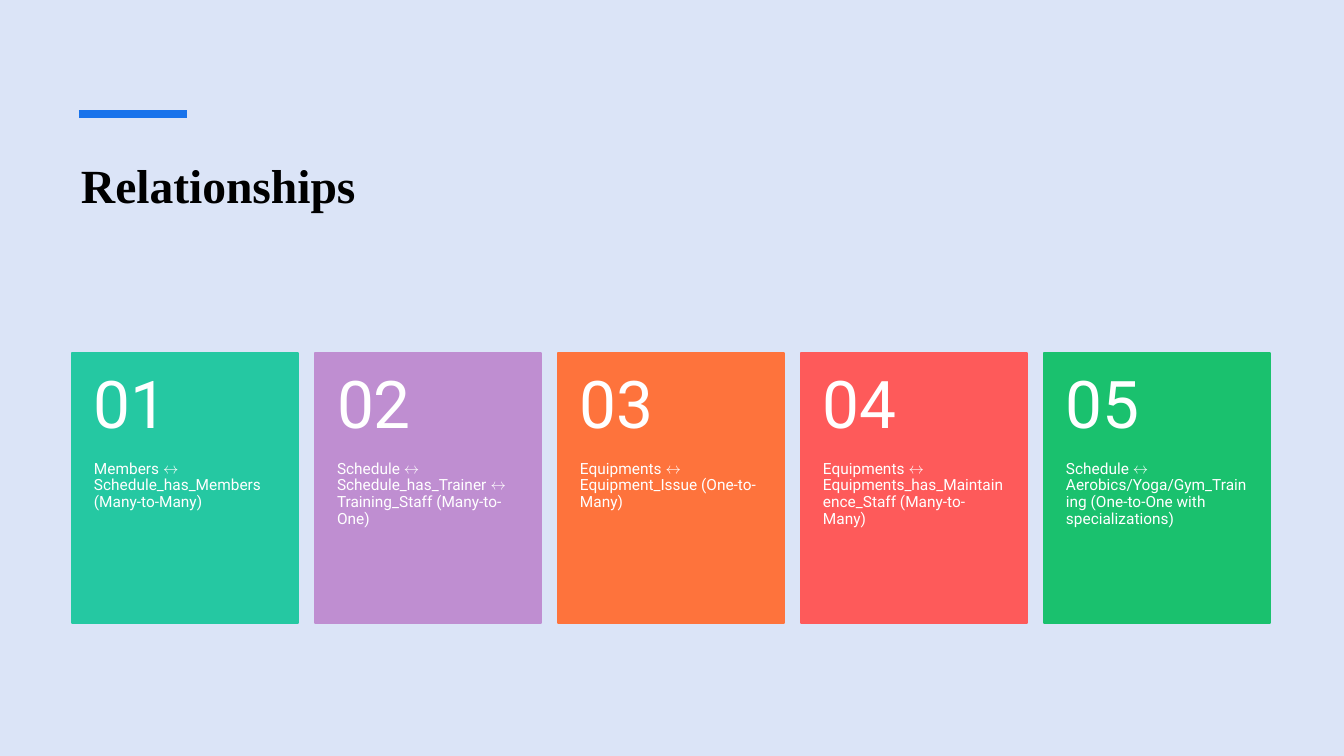
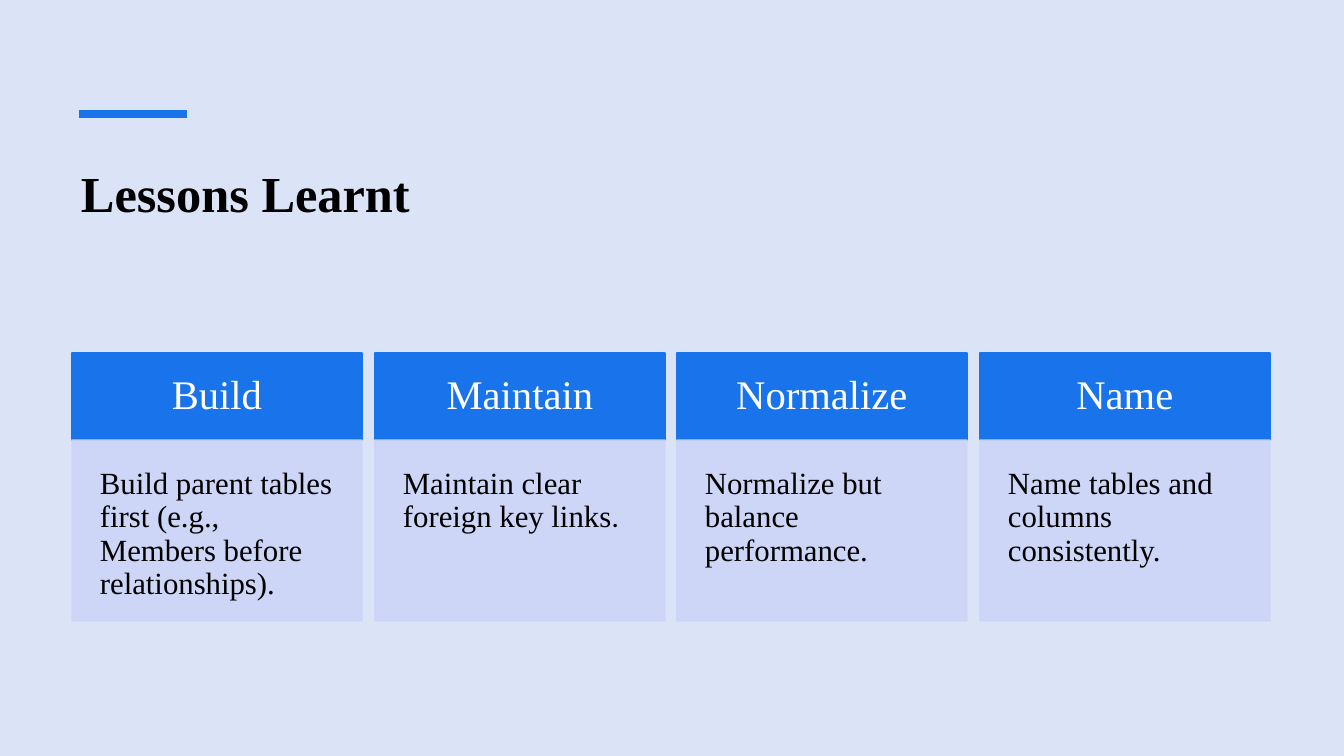
from lxml import etree
from pptx import Presentation
from pptx.dml.color import RGBColor
from pptx.enum.shapes import MSO_CONNECTOR, MSO_SHAPE
from pptx.enum.text import MSO_ANCHOR, PP_ALIGN
from pptx.oxml.ns import qn
from pptx.util import Emu, Pt

RECT, LINE = MSO_SHAPE.RECTANGLE, MSO_CONNECTOR.STRAIGHT
TOP, MID = MSO_ANCHOR.TOP, MSO_ANCHOR.MIDDLE
LEFT, MIDST = PP_ALIGN.LEFT, PP_ALIGN.CENTER
SERIF, SANS = "Times New Roman", "Roboto"
HUE = {
    "back": "DBE4F7", "blue": "1973EB", "pale": "CCD5F7",
    "black": "000000", "white": "FFFFFF",
    "teal": "25C8A2", "mauve": "BF8ED1", "orange": "FE733C",
    "red": "FE5A5A", "green": "1AC16E",
}
EDGE, SPAN, ROW = 72, 1198, 353
TILES = [
    ("teal", "Members ↔ Schedule_has_Members (Many-to-Many)"),
    ("mauve", "Schedule ↔ Schedule_has_Trainer ↔ Training_Staff (Many-to-One)"),
    ("orange", "Equipments ↔ Equipment_Issue (One-to-Many)"),
    ("red", "Equipments ↔ Equipments_has_Maintainence_Staff (Many-to-Many)"),
    ("green", "Schedule ↔ Aerobics/Yoga/Gym_Training (One-to-One with specializations)"),
]
LESSONS = [
    ("Build", "Build parent tables first (e.g., Members before relationships).", ""),
    ("Maintain", "Maintain clear foreign key links", "."),
    ("Normalize", "Normalize but balance performance.", ""),
    ("Name", "Name tables and columns consistently.", ""),
]


def px(*sizes):
    """Turn pixel lengths into EMU."""
    return [Emu(round(n * 914400 / 100.8)) for n in sizes]


def tint(name):
    """Look up a colour."""
    return RGBColor.from_string(HUE[name])


def spread(count, width):
    """Give the left edges of equal columns."""
    step = (SPAN - width) / (count - 1)
    return [round(EDGE + i * step) for i in range(count)]


class Deck:
    """Holds the style and the current slide."""

    def __init__(self):
        """Open an empty deck."""
        self.show = Presentation()
        self.show.slide_width, self.show.slide_height = px(1344, 756)
        self.slide = None

    def page(self, title, size, lead):
        """Start a slide with its title and accent line."""
        self.slide = self.show.slides.add_slide(self.show.slide_layouts[5])
        fill = self.slide.background.fill
        fill.solid()
        fill.fore_color.rgb = tint("back")
        head = self.slide.shapes.title
        head.left, head.top, head.width, head.height = px(71, 151, 1200, 121)
        self.words(head, title, size, SERIF, "black", (10, 11, 10, 5), lead=lead, bold=True)
        self.rule(79, 187, 114)

    def rule(self, start, end, y):
        """Draw a thick level line."""
        line = self.slide.shapes.add_connector(LINE, *px(start, y, end, y))
        line.line.color.rgb = tint("blue")
        line.line.width = Pt(6)
        etree.SubElement(line._element.spPr, qn("a:effectLst"))

    def block(self, area, hue, alpha=100):
        """Draw a filled rectangle."""
        shape = self.slide.shapes.add_shape(RECT, *px(*area))
        shape.shadow.inherit = False
        shape.fill.solid()
        shape.fill.fore_color.rgb = tint(hue)
        shape.line.color.rgb = tint(hue)
        shape.line.width = Pt(1)
        if alpha < 100:
            for paint in shape._element.spPr.iter(qn("a:srgbClr")):
                etree.SubElement(paint, qn("a:alpha"), val=str(alpha * 1000))
        return shape

    def label(self, area, *style, **more):
        """Add a text box."""
        self.words(self.slide.shapes.add_textbox(*px(*area)), *style, **more)

    def words(self, shape, text, size, font, hue, pads, anchor=TOP, align=LEFT,
              lead=0.9, bold=False, tail=""):
        """Fill a shape with one styled paragraph."""
        frame = shape.text_frame
        frame.text = text
        frame.word_wrap = True
        frame.vertical_anchor = anchor
        (frame.margin_left, frame.margin_top,
         frame.margin_right, frame.margin_bottom) = px(*pads)
        para = frame.paragraphs[0]
        para.alignment = align
        para.line_spacing = lead
        if tail:
            para.add_run().text = tail
        for run in para.runs:
            run.font.size = Pt(size)
            run.font.name = font
            run.font.bold = bold
            run.font.color.rgb = tint(hue)
        if tail:
            para.runs[-1].font.name = SANS

    def tile(self, x, width, mark, hue, text):
        """Add a numbered card."""
        self.block((x, ROW, width, 270), hue)
        self.label((x, ROW + 108, width, 162), text, 11, SANS, "white", (22, 0, 22, 36))
        self.label((x, ROW, width, 108), mark, 47, SANS, "white", (22, 18, 22, 18), anchor=MID)

    def lesson(self, x, width, name, text, tail):
        """Add a column with a header and a body."""
        head = self.block((x, ROW, width, 87), "blue")
        self.words(head, name, 29, SERIF, "white", (23, 23, 23, 23), anchor=MID, align=MIDST)
        body = self.block((x, ROW + 87, width, 181), "pale", 90)
        self.words(body, text, 22, SERIF, "black", (28, 28, 28, 28), tail=tail)


def main():
    """Build both slides."""
    deck = Deck()
    deck.page("Relationships", 34, 0.9)
    for i, (x, tile) in enumerate(zip(spread(len(TILES), 226), TILES), 1):
        deck.tile(x, 226, f"{i:02}", *tile)
    deck.page("Lessons Learnt", 36, 1.0)
    for x, lesson in zip(spread(len(LESSONS), 290), LESSONS):
        deck.lesson(x, 290, *lesson)
    deck.show.save("out.pptx")


if __name__ == "__main__":
    main()
